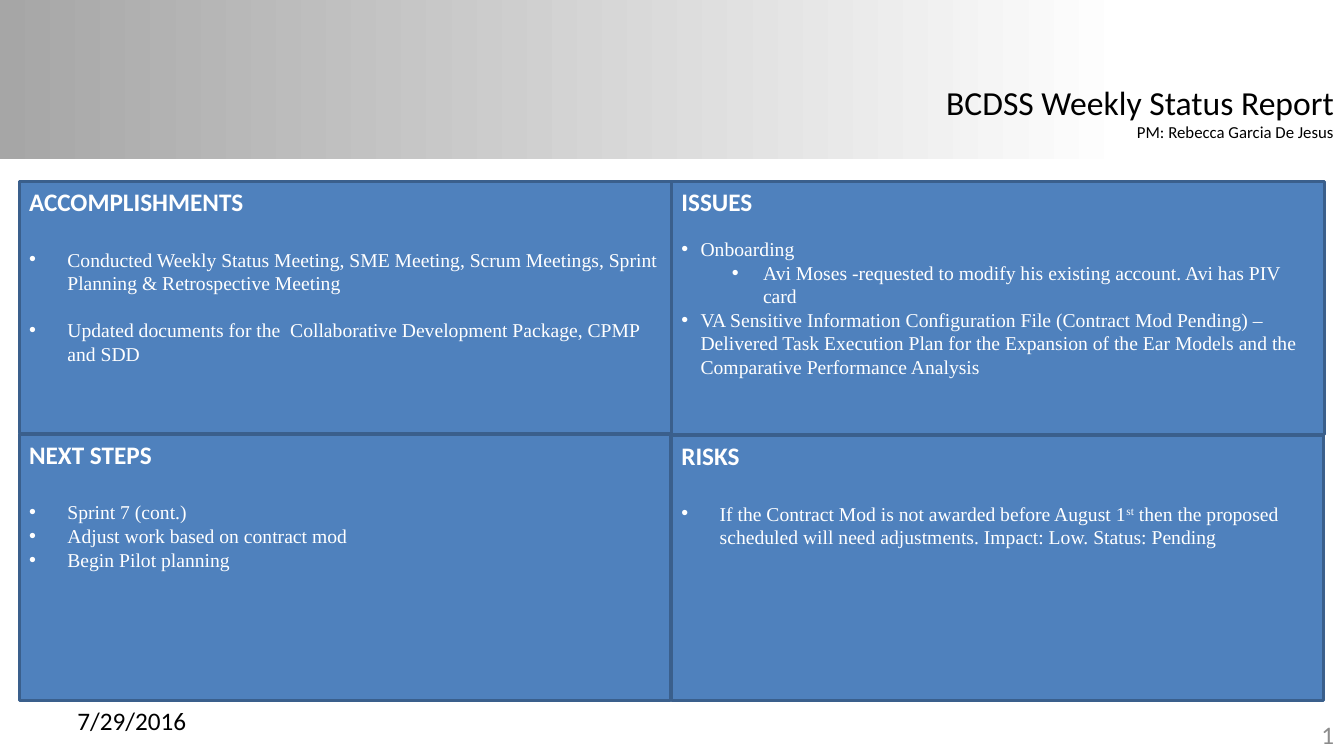
from lxml import etree
from pptx import Presentation
from pptx.dml.color import RGBColor
from pptx.enum.shapes import MSO_SHAPE as SHAPE
from pptx.enum.text import MSO_ANCHOR as ANCHOR, MSO_AUTO_SIZE as AUTO, PP_ALIGN as ALIGN
from pptx.oxml.ns import qn
from pptx.util import Inches, Pt

SANS, SERIF = "Calibri", "Times New Roman"


def rgb(value):
    return RGBColor.from_string(value)


class StatusSlide:
    def __init__(self, prs):
        self.s = prs.slides.add_slide(prs.slide_layouts[5])

    def font(self, p, size, color, name=SANS, bold=False):
        p.font.size, p.font.name, p.font.bold = Pt(size), name, bold
        p.font.color.rgb = rgb(color)

    def rect(self, x, y, w, h):
        sp = self.s.shapes.add_shape(SHAPE.RECTANGLE, Inches(x), Inches(y), Inches(w), Inches(h))
        sp.shadow.inherit = False
        return sp

    def band(self, w, h, start, end):
        sp = self.rect(0, 0, w, h)
        sp.line.fill.background()
        sp.fill.gradient()
        sp.fill.gradient_angle = 0
        for stop, color, position in zip(sp.fill.gradient_stops, (start, end), (0, 0.84)):
            stop.color.rgb, stop.position = rgb(color), position

    def title(self, x, y, w, h, lines):
        sp = self.s.shapes.title
        self.s.shapes._spTree.append(sp._element)  # in front of the band
        sp.left, sp.top, sp.width, sp.height = (Inches(v) for v in (x, y, w, h))
        tf = sp.text_frame
        tf.word_wrap, tf.auto_size, tf.vertical_anchor = False, AUTO.NONE, ANCHOR.TOP
        tf.text = "\n".join(text for text, _ in lines)
        for p, (_, size) in zip(tf.paragraphs, lines):
            p.alignment = ALIGN.RIGHT
            self.font(p, size, "000000")

    def footer(self, x, y, text, color, align):
        sp = self.s.shapes.add_textbox(Inches(x), Inches(y), Inches(3.11), Inches(0.4))
        tf = sp.text_frame
        tf.word_wrap, tf.vertical_anchor = True, ANCHOR.MIDDLE
        p = tf.paragraphs[0]
        p.text, p.alignment = text, align
        self.font(p, 18, color)

    def bullet(self, p, text, left, hang, before):
        """Fill a bulleted paragraph; text between ^ marks is raised."""
        for i, part in enumerate(text.split("^")):
            r = p.add_run()
            r.text = part
            if i % 2:
                r.font._element.set("baseline", "30000")
        self.font(p, 14, "FFFFFF", SERIF)
        p.alignment, p.space_before = ALIGN.LEFT, Pt(before)
        pPr = p._p.get_or_add_pPr()
        pPr.set("marL", str(Inches(left)))
        pPr.set("indent", str(-Inches(hang)))
        bu_font = etree.Element(qn("a:buFont"), typeface="Arial")
        bu_char = etree.Element(qn("a:buChar"), char="•")
        pPr.find(qn("a:defRPr")).addprevious(bu_font)
        bu_font.addnext(bu_char)

    def panel(self, x, y, w, h, heading, bullets):
        sp = self.rect(x, y, w, h)
        sp.fill.solid()
        sp.fill.fore_color.rgb = rgb("4F81BD")
        sp.line.color.rgb, sp.line.width = rgb("3A5F8C"), Pt(2)
        tf = sp.text_frame
        tf.word_wrap, tf.vertical_anchor = True, ANCHOR.TOP
        p = tf.paragraphs[0]
        p.text, p.alignment = heading, ALIGN.LEFT
        self.font(p, 18, "FFFFFF", bold=True)
        for item in bullets:
            self.bullet(tf.add_paragraph(), *item)


WIDE, NARROW, NESTED = (0.38, 0.38), (0.19, 0.19), (0.81, 0.31)  # left, hanging
PANELS = [
    (0.19, 1.8, 6.47, 2.5, "ACCOMPLISHMENTS", [
        ("Conducted Weekly Status Meeting, SME Meeting, Scrum Meetings, "
         "Sprint Planning & Retrospective Meeting", *WIDE, 22),
        ("Updated documents for the  Collaborative Development Package, CPMP and SDD", *WIDE, 17),
    ]),
    (0.19, 4.31, 6.46, 2.64, "NEXT STEPS", [
        ("Sprint 7 (cont.)", *WIDE, 22),
        ("Adjust work based on contract mod", *WIDE, 0),
        ("Begin Pilot planning", *WIDE, 0),
    ]),
    (6.66, 1.8, 6.48, 2.51, "ISSUES", [
        ("Onboarding", *NARROW, 14.6),
        ("Avi Moses -requested to modify his existing account. Avi has PIV card", *NESTED, 0),
        ("VA Sensitive Information Configuration File (Contract Mod Pending) – "
         "Delivered Task Execution Plan for the Expansion of the Ear Models and the "
         "Comparative Performance Analysis", *NARROW, 0),
    ]),
    (6.66, 4.32, 6.47, 2.63, "RISKS", [
        ("If the Contract Mod is not awarded before August 1^st^ then the proposed "
         "scheduled will need adjustments. Impact: Low. Status: Pending", *WIDE, 22),
    ]),
]


def main():
    prs = Presentation()
    prs.slide_width, prs.slide_height = Inches(13.33), Inches(7.5)
    slide = StatusSlide(prs)
    slide.band(13.33, 1.58, "A6A6A6", "FFFFFF")
    slide.footer(10.22, 7.09, "1", "8C8C8C", ALIGN.RIGHT)
    slide.footer(0.67, 6.95, "7/29/2016", "000000", ALIGN.LEFT)
    slide.title(9.25, 0.76, 4.08, 0.71,
                [("BCDSS Weekly Status Report", 24), ("PM: Rebecca Garcia De Jesus", 12)])
    for panel in PANELS:
        slide.panel(*panel)
    prs.save("out.pptx")


if __name__ == "__main__":
    main()
